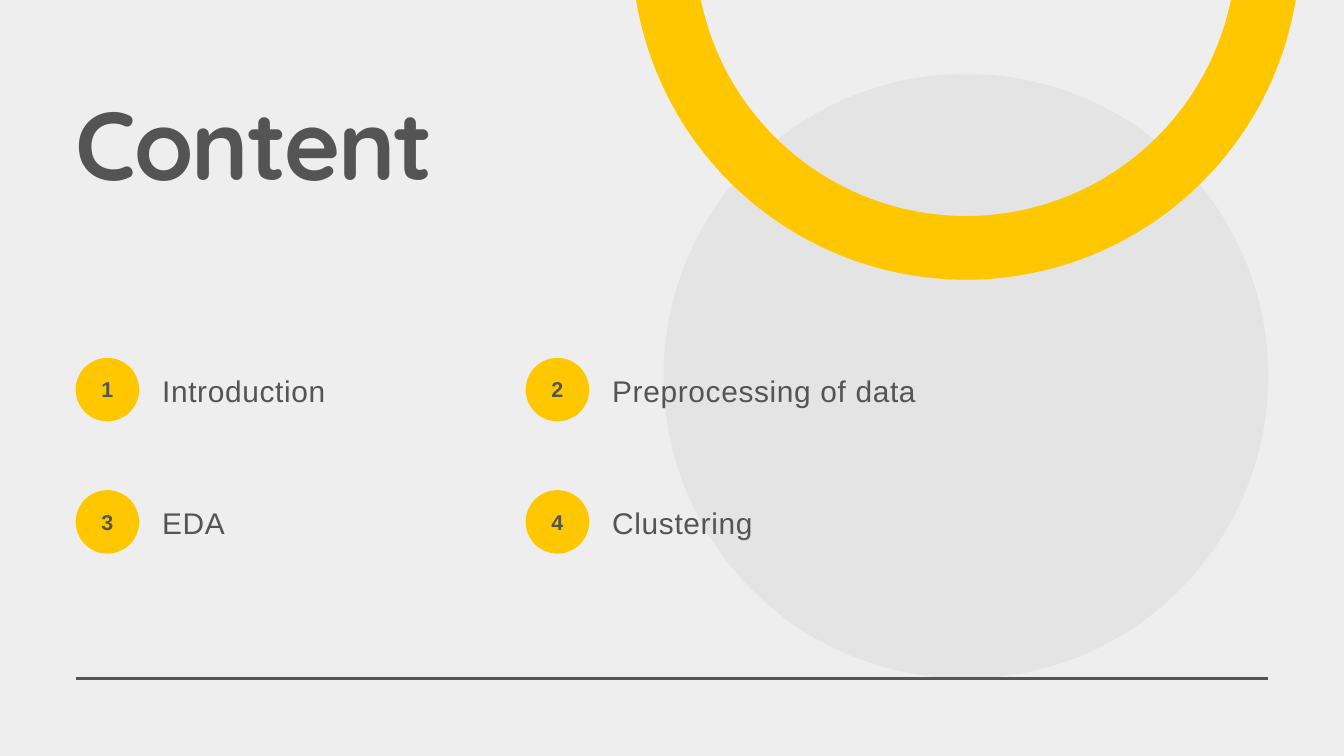
import pptx
import pptx.dml.color
import pptx.enum.shapes
import pptx.enum.text
import pptx.oxml
import pptx.oxml.ns
import pptx.util
from pptx.util import Cm, Pt

GREY, YELLOW = "545454", "FFC700"
ALIGN = pptx.enum.text.PP_ALIGN
ANCHOR = pptx.enum.text.MSO_ANCHOR


def paint(color_format, color):
    """Fill or line colour from a hex string; color_format is a FillFormat."""
    color_format.solid()
    color_format.fore_color.rgb = pptx.dml.color.RGBColor.from_string(color)


def write(shape, text, size, leading, align, anchor, font="Arial", bold=False, spacing=0):
    """Put one line of text without insets into a shape; spacing is in 1/100 pt."""
    frame = shape.text_frame
    frame.text = text
    frame.word_wrap = True
    frame.auto_size = pptx.enum.text.MSO_AUTO_SIZE.NONE
    frame.vertical_anchor = anchor
    frame.margin_left = frame.margin_right = frame.margin_top = frame.margin_bottom = 0
    paragraph = frame.paragraphs[0]
    paragraph.alignment = align
    paragraph.line_spacing = Pt(leading)
    paragraph.space_before = Pt(0)
    paragraph.font.name = font
    paragraph.font.size = Pt(size)
    paragraph.font.bold = bold
    paint(paragraph.font.fill, GREY)
    paragraph.runs[0]._r.get_or_add_rPr().set("spc", str(spacing))


prs = pptx.Presentation()
prs.slide_width, prs.slide_height = Cm(50.8), Cm(28.58)
slide = prs.slides.add_slide(prs.slide_layouts[5])
paint(slide.background.fill, "EEEEEE")
shapes = slide.shapes
OVAL = pptx.enum.shapes.MSO_SHAPE.OVAL

left, right, baseline = 2.86, 47.94, 25.65
diameter = 22.86

# Pale disc standing on the rule
disc = shapes.add_shape(OVAL, Cm(right - diameter), Cm(baseline - diameter),
                        Cm(diameter), Cm(diameter))
disc.shadow.inherit = False
paint(disc.fill, "D9D9D9")
disc.line.fill.background()
disc_color = disc.fill._xPr.find(".//" + pptx.oxml.ns.qn("a:srgbClr"))
disc_color.append(pptx.oxml.parse_xml(
    f'<a:alpha {pptx.oxml.ns.nsdecls("a")} val="43000"/>'))

rule = shapes.add_connector(pptx.enum.shapes.MSO_CONNECTOR.STRAIGHT,
                            Cm(left), Cm(baseline), Cm(right), Cm(baseline))
paint(rule.line.fill, GREY)
rule.line.width = Pt(3)
rule._element.spPr.append(pptx.oxml.parse_xml(
    f'<a:effectLst {pptx.oxml.ns.nsdecls("a")}/>'))

# Ring cut by the top edge
ring = shapes.add_shape(OVAL, Cm(right - diameter), Cm(-13.49), Cm(diameter), Cm(diameter))
ring.shadow.inherit = False
ring.fill.background()
paint(ring.line.fill, YELLOW)
ring.line.width = Pt(68.25)

title = shapes.title
title.left, title.top, title.width, title.height = Cm(left), Cm(3.97), Cm(16.93), Cm(4.34)
write(title, "Content", 103.5, 101.5, ALIGN.LEFT, ANCHOR.TOP,
      font="Quicksand", bold=True, spacing=-210)

# Topics in two columns, numbered row by row
topics = ["Introduction", "Preprocessing of data", "EDA", "Clustering"]
for index, topic in enumerate(topics):
    row, column = divmod(index, 2)
    x, y = left + 17.01 * column, 13.53 + 5 * row

    badge = shapes.add_shape(OVAL, Cm(x), Cm(y), Cm(2.4), Cm(2.4))
    badge.shadow.inherit = False
    paint(badge.fill, YELLOW)
    badge.line.fill.background()
    write(badge, str(index + 1), 23, 32.2, ALIGN.CENTER, ANCHOR.MIDDLE, bold=True)
    badge.text_frame.margin_bottom = Cm(0.18)

    label = shapes.add_textbox(Cm(x + 3.27), Cm(y + 0.34), Cm(13.36), Cm(1.52))
    write(label, topic, 32, 44.8, ALIGN.JUSTIFY, ANCHOR.TOP, spacing=70)

prs.save("out.pptx")
